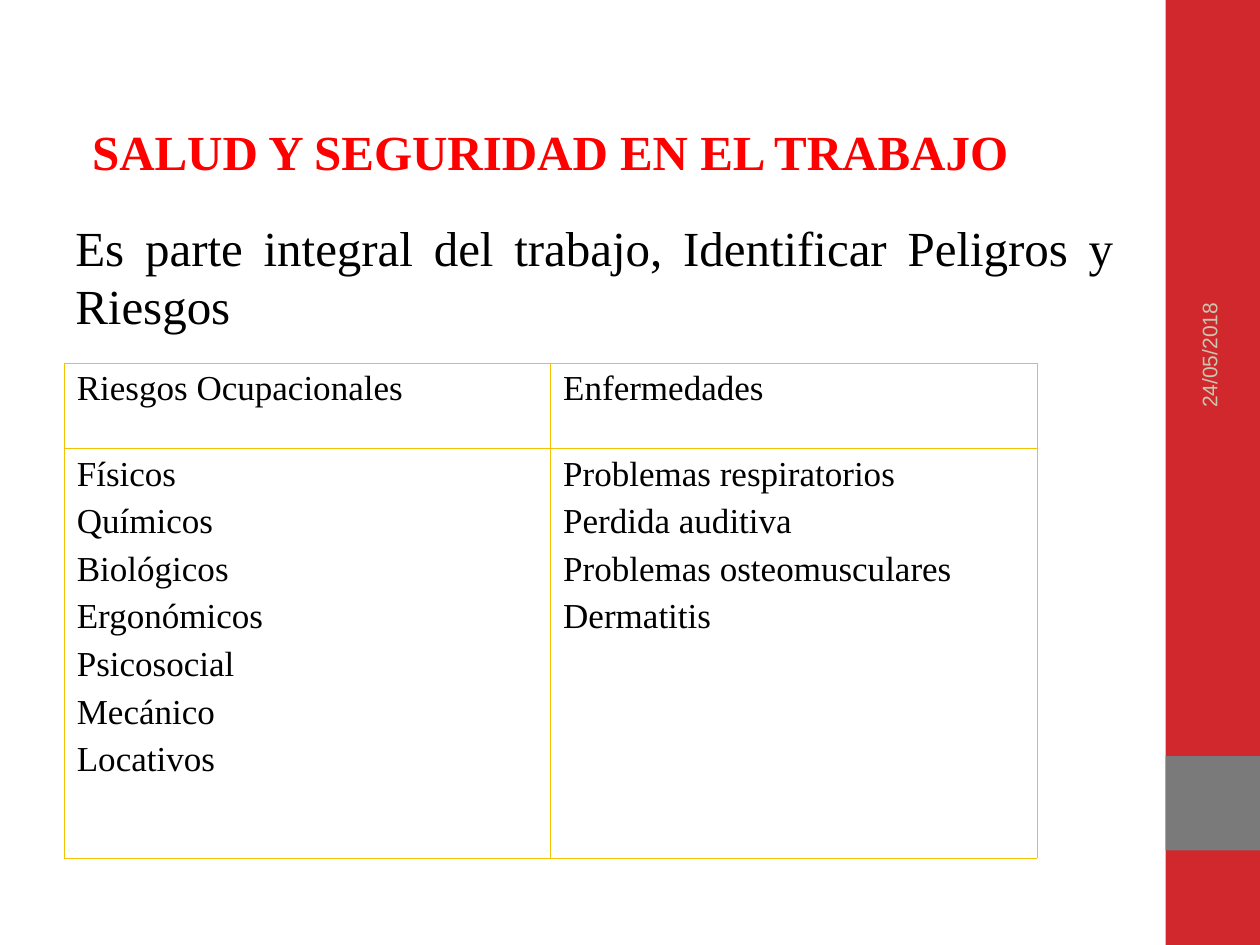
from dataclasses import dataclass

from lxml.etree import SubElement
from pptx import Presentation
from pptx.dml.color import RGBColor
from pptx.enum.shapes import MSO_SHAPE
from pptx.enum.text import MSO_ANCHOR, PP_ALIGN
from pptx.oxml.ns import qn
from pptx.util import Inches, Pt

TITLE = "SALUD Y SEGURIDAD EN EL TRABAJO"
STATEMENT = "Es parte integral del trabajo, Identificar Peligros y Riesgos"
DATE = "24/05/2018"
RISK_COLUMNS = {
    "Riesgos Ocupacionales": ["Físicos", "Químicos", "Biológicos", "Ergonómicos",
                              "Psicosocial", "Mecánico", "Locativos"],
    "Enfermedades": ["Problemas respiratorios", "Perdida auditiva",
                     "Problemas osteomusculares", "Dermatitis"],
}
ROW_HEIGHTS = (0.68, 3.25)


@dataclass(frozen=True)
class Theme:
    serif: str = "Times New Roman"
    sans: str = "Arial"
    heading: str = "FF0000"
    text: str = "000000"
    date: str = "C8C8B1"
    band: str = "D1282E"
    block: str = "7A7A7A"
    border: str = "F5C201"
    heading_size: int = 28
    table_size: int = 20
    date_size: int = 12
    border_width: float = 0.45


THEME = Theme()


def box(left, top, width, height):
    return [Inches(length) for length in (left, top, width, height)]


def add_run(paragraph, text, size, color, font=THEME.serif, bold=False):
    run = paragraph.add_run()
    run.text = text
    run.font.name = font
    run.font.size = Pt(size)
    run.font.bold = bold
    run.font.color.rgb = RGBColor.from_string(color)


def add_panel(slide, place, color):
    panel = slide.shapes.add_shape(MSO_SHAPE.RECTANGLE, *box(*place))
    panel.shadow.inherit = False
    panel.fill.solid()
    panel.fill.fore_color.rgb = RGBColor.from_string(color)
    panel.line.fill.background()


def add_text(slide, place):
    text_box = slide.shapes.add_textbox(*box(*place))
    frame = text_box.text_frame
    frame.word_wrap = True
    frame.vertical_anchor = MSO_ANCHOR.MIDDLE
    return text_box, frame.paragraphs[0]


def set_borders(cell):
    properties = cell._tc.get_or_add_tcPr()
    for position, side in enumerate(("lnL", "lnR", "lnT", "lnB")):
        line = properties.makeelement(qn(f"a:{side}"), {"w": str(Pt(THEME.border_width))})
        fill = SubElement(line, qn("a:solidFill"))
        SubElement(fill, qn("a:srgbClr"), val=THEME.border)
        properties.insert(position, line)


def fill_cell(cell, lines):
    cell.fill.background()
    set_borders(cell)
    frame = cell.text_frame
    for index, text in enumerate(lines):
        paragraph = frame.add_paragraph() if index else frame.paragraphs[0]
        if index:
            paragraph.space_before = Pt(5)
        add_run(paragraph, text, THEME.table_size, THEME.text)


def add_risk_table(slide):
    table = slide.shapes.add_table(
        len(ROW_HEIGHTS), len(RISK_COLUMNS), *box(0.51, 2.88, 7.72, sum(ROW_HEIGHTS))).table
    table.first_row = table.horz_banding = False
    for row, height in zip(table.rows, ROW_HEIGHTS):
        row.height = Inches(height)
    for column, (header, items) in enumerate(RISK_COLUMNS.items()):
        fill_cell(table.cell(0, column), [header])
        fill_cell(table.cell(1, column), items)


def main():
    presentation = Presentation()
    presentation.slide_width, presentation.slide_height = Inches(10), Inches(7.5)
    slide = presentation.slides.add_slide(presentation.slide_layouts.get_by_name("Title Only"))

    add_panel(slide, (9.25, 0, 0.75, 7.5), THEME.band)
    add_panel(slide, (9.25, 6, 0.75, 0.75), THEME.block)

    title = slide.shapes.title
    title.left, title.top, title.width, title.height = box(0.5, 0.84, 7.73, 0.71)
    title.text_frame.vertical_anchor = MSO_ANCHOR.MIDDLE
    heading = title.text_frame.paragraphs[0]
    heading.alignment = PP_ALIGN.CENTER
    add_run(heading, TITLE, THEME.heading_size, THEME.heading, bold=True)

    add_risk_table(slide)

    _, statement = add_text(slide, (0, 1.67, 8.94, 1.04))
    statement.alignment = PP_ALIGN.JUSTIFY
    statement.level = 1
    statement._p.get_or_add_pPr().set("marL", str(Inches(0.5)))
    add_run(statement, STATEMENT, THEME.heading_size, THEME.text)

    date_box, date = add_text(slide, (8.26, 1.8, 2.67, 0.4))
    date_box.rotation = 270
    add_run(date, DATE, THEME.date_size, THEME.date, font=THEME.sans)

    presentation.save("out.pptx")


if __name__ == "__main__":
    main()
